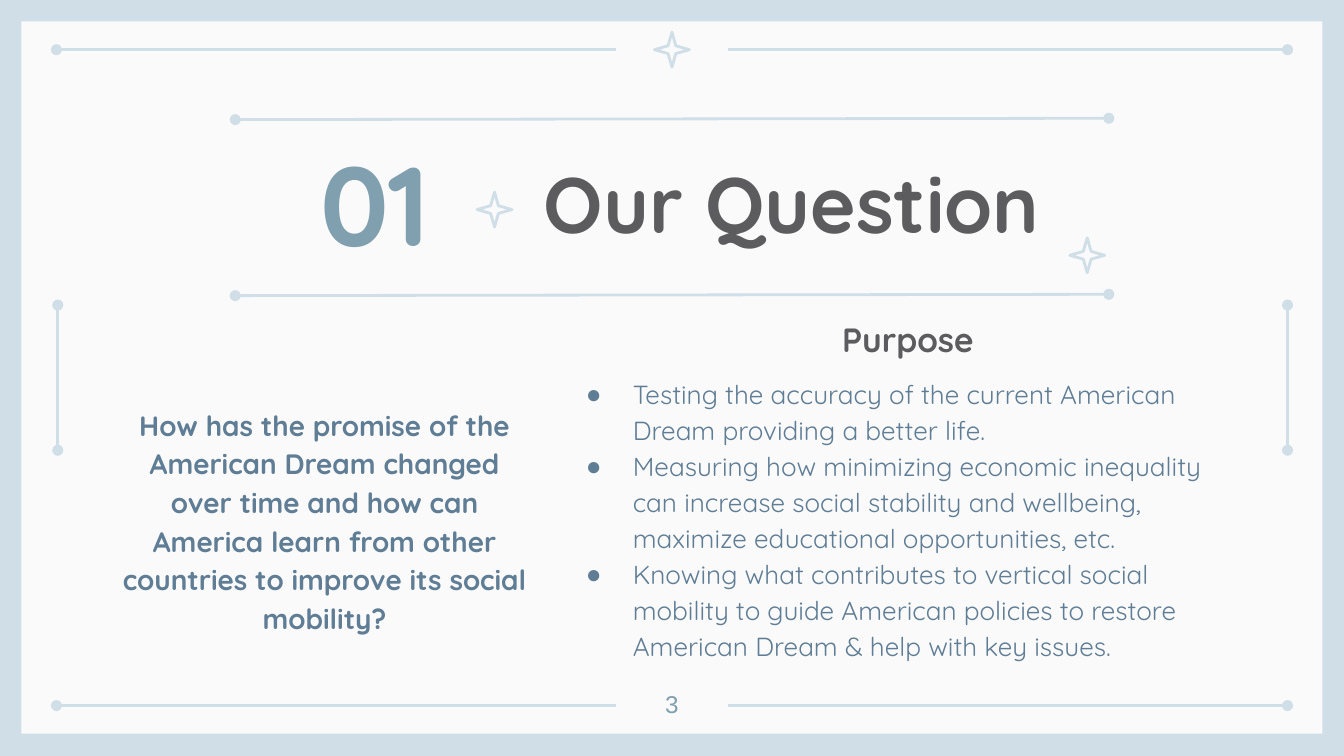
import pptx
import pptx.util
import pptx.dml.color
import pptx.enum.shapes
import pptx.enum.text
import pptx.oxml.ns
from lxml import etree

Inches, Pt = pptx.util.Inches, pptx.util.Pt
SHAPE = pptx.enum.shapes.MSO_SHAPE
ALIGN = pptx.enum.text.PP_ALIGN
ANCHOR = pptx.enum.text.MSO_ANCHOR
qn = pptx.oxml.ns.qn

COLORS = {"pale": "CFDEE7", "paper": "FAFAFA", "dark": "5C5C5F",
          "body": "5F7D95", "accent": "809FAF"}
FONT = "Quicksand"
PLAIN_FONT = "Arial"
STAR = 0.26

QUESTION = ("How has the promise of the American Dream changed over time and how can "
            "America learn from other countries to improve its social mobility?")
PURPOSES = [
    "Testing the accuracy of the current American Dream providing a better life.",
    "Measuring how minimizing economic inequality can increase social stability "
    "and wellbeing, maximize educational opportunities, etc.",
    "Knowing what contributes to vertical social mobility to guide American "
    "policies to restore American Dream & help with key issues.",
]


def rgb(name):
    return pptx.dml.color.RGBColor.from_string(COLORS[name])


def add_line(s, x1, y1, x2, y2, ends=("headEnd", "tailEnd")):
    """Pale rule with a dot at each of the named ends."""
    sp = s.shapes.add_connector(pptx.enum.shapes.MSO_CONNECTOR.STRAIGHT,
                                Inches(x1), Inches(y1), Inches(x2), Inches(y2))
    sp.line.color.rgb = rgb("pale")
    sp.line.width = Pt(1.5)
    ln = sp.line._get_or_add_ln()
    for end in ends:
        etree.SubElement(ln, qn("a:" + end), type="oval")
    etree.SubElement(sp._element.spPr, qn("a:effectLst"))


def add_star(s, x, y):
    sp = s.shapes.add_shape(SHAPE.STAR_4_POINT, Inches(x), Inches(y),
                            Inches(STAR), Inches(STAR))
    sp.adjustments[0] = 0.157
    sp.shadow.inherit = False
    sp.fill.background()
    sp.line.color.rgb = rgb("pale")
    sp.line.width = Pt(1.5)


def add_text(s, box, paragraphs, size, color, bold=True, font=FONT,
             align=ALIGN.CENTER, anchor=ANCHOR.TOP, spacing=None):
    tf = s.shapes.add_textbox(*map(Inches, box)).text_frame
    tf.word_wrap = True
    tf.vertical_anchor = anchor
    tf.margin_left = tf.margin_right = tf.margin_top = tf.margin_bottom = Inches(0.1)
    tf.text = "\n".join(paragraphs)
    for p in tf.paragraphs:
        p.alignment = align
        p.line_spacing = spacing
        for r in p.runs:
            r.font.name = font
            r.font.size = Pt(size)
            r.font.bold = bold
            r.font.color.rgb = rgb(color)
    return tf


def add_bullets(tf, color):
    for p in tf.paragraphs:
        pPr = p._p.get_or_add_pPr()
        pPr.set("marL", str(Inches(0.5)))
        pPr.set("indent", str(-Inches(0.35)))
        clr = etree.SubElement(pPr, qn("a:buClr"))
        etree.SubElement(clr, qn("a:srgbClr"), val=COLORS[color])
        etree.SubElement(pPr, qn("a:buFont"), typeface=PLAIN_FONT)
        etree.SubElement(pPr, qn("a:buChar"), char="●")


def draw_frame(s, x, y, w, h, number):
    """Paper panel with split rules, side rules, star and page number."""
    sp = s.shapes.add_shape(SHAPE.RECTANGLE, *map(Inches, (x, y, w, h)))
    sp.shadow.inherit = False
    sp.fill.solid()
    sp.fill.fore_color.rgb = rgb("paper")
    sp.line.fill.background()

    left, right, mid = x + 0.26, x + w - 0.26, x + w / 2
    top, bottom = y + 0.21, y + h - 0.21
    for rule_y in (top, bottom):
        add_line(s, left, rule_y, mid - 0.42, rule_y, ["headEnd"])
        add_line(s, mid + 0.42, rule_y, right, rule_y, ["tailEnd"])
    for side_x in (left + 0.01, right):
        add_line(s, side_x, y + 3.19, side_x, y + 2.11)
    add_star(s, mid - STAR / 2, top - STAR / 2)
    add_text(s, (mid - 0.3, bottom - 0.22, 0.6, 0.36), [number], 13, "accent",
             bold=False, font=PLAIN_FONT)


def draw_heading(s, x, y, w, h, number, title):
    """Number and title between two rules."""
    for rule_y in (y, y + h):
        add_line(s, x, rule_y + 0.01, x + w, rule_y)
    add_text(s, (x + 0.39, y + 0.16, 1.3, 0.92), [number], 60, "accent",
             anchor=ANCHOR.MIDDLE)
    add_text(s, (x + 2.17, y + 0.16, 3.94, 0.92), [title], 42, "dark",
             anchor=ANCHOR.MIDDLE)
    add_star(s, x + 1.8, y + 0.55)
    add_star(s, x + 6.21, y + 0.89)


def draw_question(s, x, y, w, h):
    add_text(s, (x, y, w, h), [QUESTION], 15, "body", spacing=1.15)


def draw_purpose(s, x, y, w, h):
    """Small heading above a bulleted list."""
    add_text(s, (x + 1.17, y, 2.95, 0.6), ["Purpose"], 18, "dark",
             anchor=ANCHOR.MIDDLE)
    tf = add_text(s, (x, y + 0.46, w, h - 0.46), PURPOSES, 14, "body",
                  bold=False, align=ALIGN.LEFT, spacing=1.15)
    add_bullets(tf, "body")


def main():
    prs = pptx.Presentation()
    # Widescreen, 16:9
    prs.slide_width = Inches(10)
    prs.slide_height = prs.slide_width * 9 // 16
    s = prs.slides.add_slide(prs.slide_layouts[6])
    s.background.fill.solid()
    s.background.fill.fore_color.rgb = rgb("pale")

    draw_frame(s, 0.16, 0.16, 9.68, 5.3, "3")
    draw_heading(s, 1.75, 0.88, 6.5, 1.31, "01", "Our Question")
    draw_question(s, 0.77, 2.9, 3.29, 0.49)
    draw_purpose(s, 4.11, 2.22, 5.28, 2.77)
    prs.save("out.pptx")


if __name__ == "__main__":
    main()
